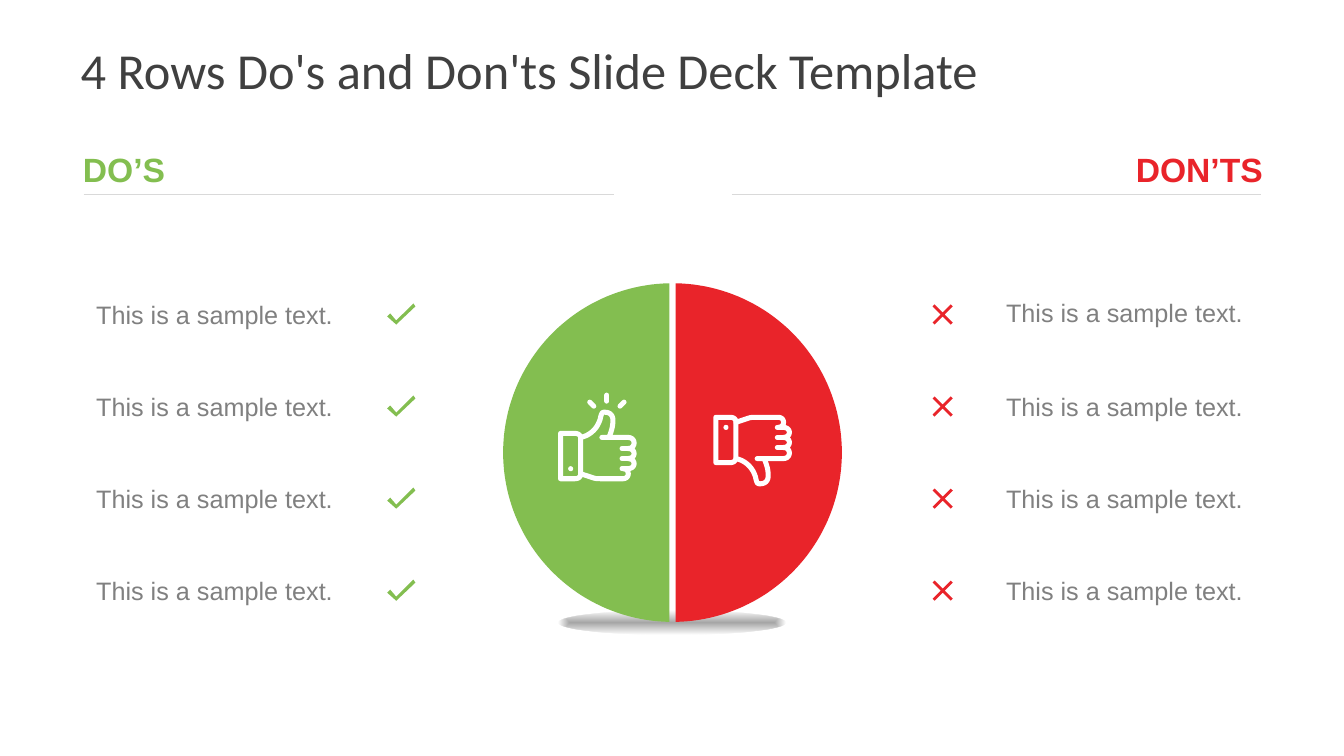
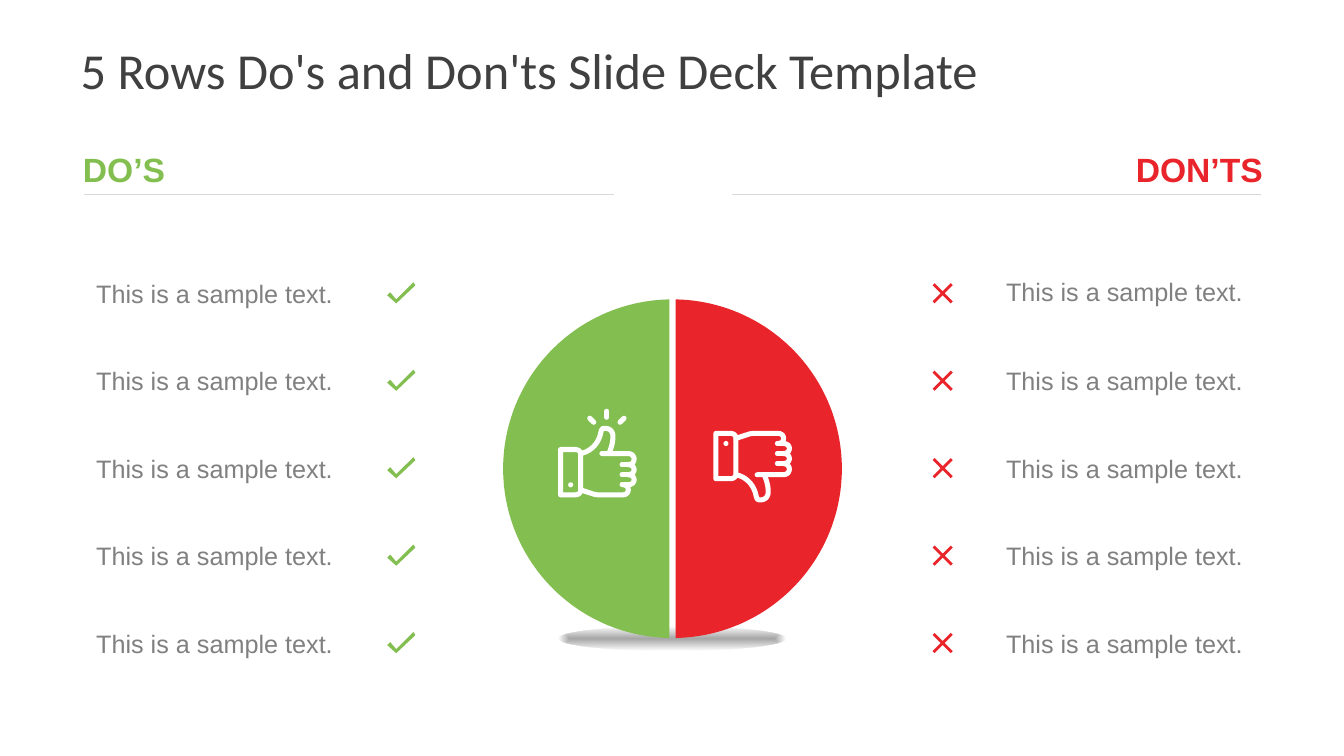
from dataclasses import dataclass
from math import asin, cos, pi, sin
from typing import NamedTuple

from lxml.etree import SubElement
from pptx import Presentation
from pptx.dml.color import RGBColor
from pptx.enum.shapes import MSO_CONNECTOR, MSO_SHAPE
from pptx.enum.text import MSO_ANCHOR, PP_ALIGN
from pptx.oxml import parse_xml
from pptx.oxml.ns import nsdecls, qn
from pptx.shapes.autoshape import Shape
from pptx.slide import Slide
from pptx.util import Inches, Pt


class Point(NamedTuple):
    x: float
    y: float


class Box(NamedTuple):
    left: float
    top: float
    width: float
    height: float

    def emu(self) -> list[int]:
        return [Inches(value) for value in self]


@dataclass(frozen=True)
class TextStyle:
    font: str
    size: float
    color: str
    bold: bool = False


@dataclass(frozen=True)
class Theme:
    green: str = "83BE50"
    red: str = "E9242A"
    white: str = "FFFFFF"
    rule: str = "D9D9D9"
    gray: str = "808080"
    title: TextStyle = TextStyle("Calibri", 36, "404040")
    row: TextStyle = TextStyle("Arial", 18, "808080")
    heading_font: str = "Arial"
    heading_size: float = 24
    rule_width: float = 0.75
    icon_width: float = 3.6


THEME = Theme()


@dataclass(frozen=True)
class Side:
    heading: str
    color: str
    heading_box: Box
    rule_start: float
    rule_end: float
    direction: int  # -1 is the left half of the disc, 1 the right half
    hand: Point  # offset of the hand icon from the disc's left edge and centre
    thumb_up: bool
    mark: list[Point]
    mark_x: float
    text_left: float
    alignment: PP_ALIGN
    first_row_shift: float = 0


@dataclass(frozen=True)
class Page:
    title: str
    rows: int
    first_row: float
    last_row: float
    disc_y: float


CHECK = [Point(-0.05, 0.06), Point(-0.11, -0.01), Point(-0.14, 0.02),
         Point(-0.05, 0.1), Point(0.14, -0.08), Point(0.12, -0.11)]
CROSS = [Point(0.1, -0.08), Point(0.08, -0.1), Point(0, -0.02),
         Point(-0.08, -0.1), Point(-0.1, -0.08), Point(-0.02, 0),
         Point(-0.1, 0.08), Point(-0.08, 0.1), Point(0, 0.02),
         Point(0.08, 0.1), Point(0.1, 0.08), Point(0.02, 0)]

SIDES = [
    Side("DO’S", THEME.green, Box(0.72, 1.43, 1.02, 0.5), 0.83, 6.09,
         -1, Point(0.54, -0.43), True, CHECK, 3.98, 0.75, PP_ALIGN.RIGHT),
    Side("DON’TS", THEME.red, Box(11.16, 1.43, 1.47, 0.5), 7.26, 12.51,
         1, Point(2.08, -0.38), False, CROSS, 9.35, 9.88, PP_ALIGN.LEFT, -0.02),
]
PAGES = [
    Page("4 Rows Do's and Don'ts Slide Deck Template", 4, 3.12, 5.86, 4.49),
    Page("5 Rows Do's and Don'ts Slide Deck Template", 5, 2.91, 6.38, 4.65),
]

ROW_TEXT = "This is a sample text."
RULE_Y = 1.93
DISC_X = 6.67
DISC_RADIUS = 1.68
HALF_GAP = 0.03
HAND_HEIGHT = 0.72
DOT_SIZE = 0.05
KNUCKLES = [0.28, 0.39, 0.49, 0.59, 0.69]


def curve(start: Point, first: Point, second: Point, end: Point) -> list[Point]:
    """Sample a cubic Bezier curve."""
    steps = 10
    points = []
    for step in range(steps + 1):
        t = step / steps
        weights = ((1 - t) ** 3, 3 * t * (1 - t) ** 2, 3 * t * t * (1 - t), t ** 3)
        points.append(Point(*(sum(w * value for w, value in zip(weights, values))
                              for values in zip(start, first, second, end))))
    return points


def finger(top: float, bottom: float, base: float, reach: float) -> list[Point]:
    return curve(Point(base, top), Point(reach, top),
                 Point(reach, bottom), Point(base, bottom))


def hand_strokes() -> list[list[Point]]:
    """Centre lines of a raised thumb, measured from the hand's top left."""
    cuff = [Point(0.03, 0.24),
            *curve(Point(0.17, 0.24), Point(0.21, 0.24), Point(0.23, 0.26), Point(0.23, 0.29)),
            *curve(Point(0.23, 0.64), Point(0.23, 0.67), Point(0.21, 0.69), Point(0.17, 0.69)),
            Point(0.03, 0.69), Point(0.03, 0.24)]
    thumb = [*curve(Point(0.23, 0.28), Point(0.33, 0.26), Point(0.41, 0.18), Point(0.43, 0.07)),
             *curve(Point(0.43, 0.07), Point(0.44, 0.03), Point(0.45, 0.03), Point(0.47, 0.03)),
             *curve(Point(0.47, 0.03), Point(0.52, 0.03), Point(0.55, 0.06), Point(0.55, 0.11)),
             *curve(Point(0.55, 0.11), Point(0.55, 0.18), Point(0.53, 0.23), Point(0.51, 0.28))]
    fingers = [finger(top, bottom, 0.7, 0.78)
               for top, bottom in zip(KNUCKLES[:3], KNUCKLES[1:4])]
    fist = [Point(0.44, KNUCKLES[0]), *(point for bump in fingers for point in bump)]
    creases = [[Point(0.64, y), Point(0.7, y)] for y in KNUCKLES[1:4]]
    palm = [*finger(*KNUCKLES[3:], 0.65, 0.72),
            *curve(Point(0.43, 0.69), Point(0.4, 0.69), Point(0.38, 0.69), Point(0.35, 0.68)),
            Point(0.23, 0.64)]
    return [cuff, thumb, fist, *creases, palm]


RAYS = [[Point(0.49, -0.14), Point(0.49, -0.08)],
        [Point(0.32, -0.07), Point(0.36, -0.03)],
        [Point(0.66, -0.07), Point(0.62, -0.03)]]


def set_values(target: object, values: dict[str, object]) -> None:
    for name, value in values.items():
        setattr(target, name, value)


def add_text(slide: Slide, box: Box, text: str, style: TextStyle,
             alignment: PP_ALIGN = PP_ALIGN.LEFT, **frame_values: object) -> None:
    frame = slide.shapes.add_textbox(*box.emu()).text_frame
    set_values(frame, {"word_wrap": True, "vertical_anchor": MSO_ANCHOR.MIDDLE,
                       **frame_values})
    paragraph = frame.paragraphs[0]
    paragraph.alignment = alignment
    run = paragraph.add_run()
    run.text = text
    set_values(run.font, {"name": style.font, "size": Pt(style.size), "bold": style.bold})
    run.font.color.rgb = RGBColor.from_string(style.color)


def paint(shape: Shape, color: str) -> None:
    shape.shadow.inherit = False
    shape.fill.solid()
    shape.fill.fore_color.rgb = RGBColor.from_string(color)
    shape.line.fill.background()


def add_outline(slide: Slide, strokes: list[list[Point]], closed: bool) -> Shape:
    paths = [[(Inches(point.x), Inches(point.y)) for point in stroke] for stroke in strokes]
    builder = slide.shapes.build_freeform(*paths[0][0], scale=1.0)
    for index, points in enumerate(paths):
        if index:
            builder.move_to(*points[0])
        builder.add_line_segments(points[1:], close=closed)
    return builder.convert_to_shape()


def add_rule(slide: Slide, start: float, end: float) -> None:
    rule = slide.shapes.add_connector(MSO_CONNECTOR.STRAIGHT, Inches(start), Inches(RULE_Y),
                                      Inches(end), Inches(RULE_Y))
    rule.line.color.rgb = RGBColor.from_string(THEME.rule)
    rule.line.width = Pt(THEME.rule_width)
    SubElement(rule._element.spPr, qn("a:effectLst"))


def add_ground_shadow(slide: Slide, disc_y: float) -> None:
    box = Box(5.54, disc_y + 1.57, 2.25, 0.23)
    ellipse = slide.shapes.add_shape(MSO_SHAPE.OVAL, *box.emu())
    paint(ellipse, THEME.gray)
    stops = "".join(f'<a:gs pos="{position}"><a:srgbClr val="{THEME.gray}">'
                    f'<a:alpha val="{alpha}"/></a:srgbClr></a:gs>'
                    for position, alpha in ((0, 70000), (100000, 0)))
    gradient = parse_xml(
        f'<a:gradFill {nsdecls("a")}><a:gsLst>{stops}</a:gsLst><a:path path="shape">'
        '<a:fillToRect l="50000" t="50000" r="50000" b="50000"/></a:path></a:gradFill>')
    properties = ellipse._element.spPr
    properties.replace(properties.find(qn("a:solidFill")), gradient)


def add_half_disc(slide: Slide, side: Side, disc_y: float) -> None:
    steps = 90
    start = asin(HALF_GAP / DISC_RADIUS)
    angles = [start + (pi - 2 * start) * step / steps for step in range(steps + 1)]
    arc = [Point(DISC_X + side.direction * DISC_RADIUS * sin(angle),
                 disc_y - DISC_RADIUS * cos(angle)) for angle in angles]
    paint(add_outline(slide, [arc], closed=True), side.color)


def add_hand(slide: Slide, side: Side, disc_y: float) -> None:
    left = DISC_X - DISC_RADIUS + side.hand.x
    top = disc_y + side.hand.y

    def place(point: Point) -> Point:
        y = point.y if side.thumb_up else HAND_HEIGHT - point.y
        return Point(left + point.x, top + y)

    strokes = hand_strokes() + (RAYS if side.thumb_up else [])
    hand = add_outline(slide, [[place(point) for point in stroke] for stroke in strokes],
                       closed=False)
    hand.shadow.inherit = False
    hand.fill.background()
    hand.line.color.rgb = RGBColor.from_string(THEME.white)
    hand.line.width = Pt(THEME.icon_width)
    line = hand._element.spPr.find(qn("a:ln"))
    line.set("cap", "rnd")
    SubElement(line, qn("a:round"))

    center = place(Point(0.13, 0.59))
    dot = Box(center.x - DOT_SIZE / 2, center.y - DOT_SIZE / 2, DOT_SIZE, DOT_SIZE)
    paint(slide.shapes.add_shape(MSO_SHAPE.OVAL, *dot.emu()), THEME.white)


def add_rows(slide: Slide, side: Side, page: Page) -> None:
    pitch = (page.last_row - page.first_row) / (page.rows - 1)
    for row in range(page.rows):
        y = page.first_row + row * pitch
        mark = [Point(side.mark_x + point.x, y + point.y) for point in side.mark]
        paint(add_outline(slide, [mark], closed=True), side.color)
        text_y = y + (side.first_row_shift if row == 0 else 0)
        add_text(slide, Box(side.text_left, text_y - 0.2, 2.65, 0.4), ROW_TEXT,
                 THEME.row, side.alignment)


def add_page(presentation: Presentation, page: Page) -> None:
    slide = presentation.slides.add_slide(presentation.slide_layouts[6])
    add_ground_shadow(slide, page.disc_y)
    add_text(slide, Box(0.67, 0.3, 12, 0.78), page.title, THEME.title,
             margin_left=Inches(0.13), margin_right=Inches(0.13),
             margin_top=Inches(0.07), margin_bottom=Inches(0.07))
    for side in SIDES:
        heading = TextStyle(THEME.heading_font, THEME.heading_size, side.color, bold=True)
        add_text(slide, side.heading_box, side.heading, heading, PP_ALIGN.CENTER,
                 word_wrap=False)
        add_rule(slide, side.rule_start, side.rule_end)
        add_half_disc(slide, side, page.disc_y)
        add_hand(slide, side, page.disc_y)
        add_rows(slide, side, page)


def main() -> None:
    presentation = Presentation()
    set_values(presentation, {"slide_width": Inches(13.33), "slide_height": Inches(7.5)})
    for page in PAGES:
        add_page(presentation, page)
    presentation.save("out.pptx")


if __name__ == "__main__":
    main()
